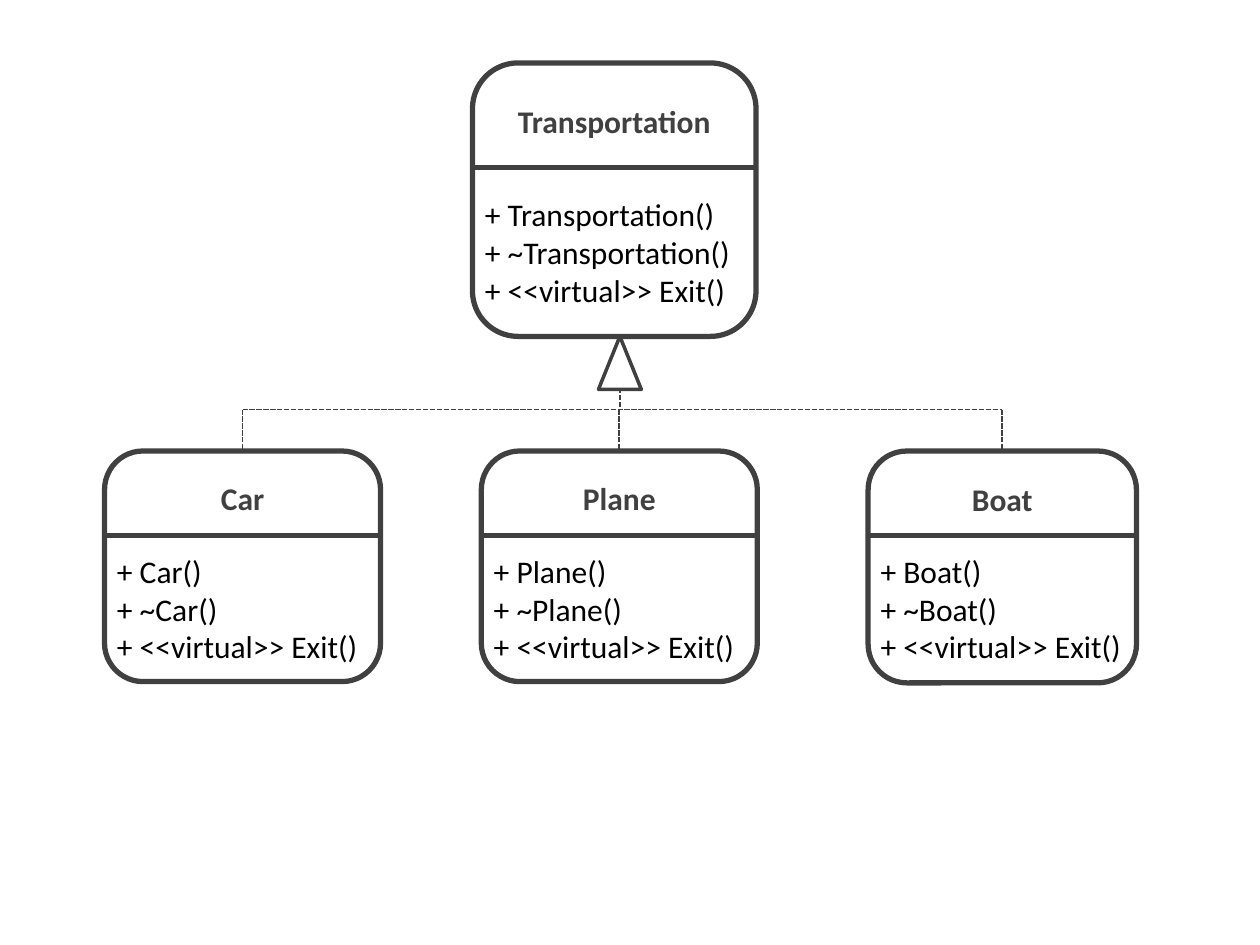
from dataclasses import dataclass

from pptx import Presentation
from pptx.dml.color import RGBColor
from pptx.enum.dml import MSO_LINE
from pptx.enum.shapes import MSO_CONNECTOR, MSO_SHAPE
from pptx.enum.text import MSO_AUTO_SIZE, PP_ALIGN
from pptx.oxml.ns import qn
from pptx.slide import Slide
from pptx.util import Inches, Pt
from lxml import etree

DARK = RGBColor(0x40, 0x40, 0x40)
BLACK = RGBColor(0x00, 0x00, 0x00)


@dataclass
class ClassDiagram:
    slide: Slide
    font: str = "Calibri"
    size: int = 18
    border: int = 3

    def outline(self, preset, left, top, width, height, weight):
        shape = self.slide.shapes.add_shape(
            preset, Inches(left), Inches(top), Inches(width), Inches(height))
        shape.shadow.inherit = False
        shape.fill.background()
        shape.line.color.rgb = DARK
        shape.line.width = Pt(weight)
        return shape

    def line(self, x1, y1, x2, y2, weight=1, dash=MSO_LINE.SQUARE_DOT):
        connector = self.slide.shapes.add_connector(
            MSO_CONNECTOR.STRAIGHT, Inches(x1), Inches(y1), Inches(x2), Inches(y2))
        connector.line.color.rgb = DARK
        connector.line.width = Pt(weight)
        connector.line.dash_style = dash
        etree.SubElement(connector._element.spPr, qn("a:effectLst"))
        return connector

    def text(self, lines, left, top, width, height, color, bold, align, wrap):
        box = self.slide.shapes.add_textbox(
            Inches(left), Inches(top), Inches(width), Inches(height))
        frame = box.text_frame
        frame.word_wrap = wrap
        frame.auto_size = MSO_AUTO_SIZE.SHAPE_TO_FIT_TEXT
        frame.text = "\n".join(lines)
        for paragraph in frame.paragraphs:
            paragraph.alignment = align
            for run in paragraph.runs:
                run.font.name = self.font
                run.font.size = Pt(self.size)
                run.font.bold = bold
                run.font.color.rgb = color

    def uml_class(self, name, left, top, width, height,
                  title_top, divider, methods_top, methods_width):
        frame = self.outline(MSO_SHAPE.ROUNDED_RECTANGLE,
                             left, top, width, height, self.border)
        self.text([name], left, title_top, width, 0.4,
                  DARK, True, PP_ALIGN.CENTER, True)
        methods = [f"+ {name}()", f"+ ~{name}()", "+ <<virtual>> Exit()"]
        self.text(methods, left, methods_top, methods_width, 1.01,
                  BLACK, False, PP_ALIGN.LEFT, False)
        self.line(left, divider, left + width, divider, self.border, MSO_LINE.SOLID)
        return frame


def main():
    prs = Presentation()
    prs.slide_width, prs.slide_height = Inches(10), Inches(7.5)
    diagram = ClassDiagram(prs.slides.add_slide(prs.slide_layouts[6]))

    # Base class
    diagram.uml_class("Transportation", 3.75, 0.5, 2.25, 2.17,
                      title_top=0.76, divider=1.33,
                      methods_top=1.5, methods_width=2.17)

    # Inheritance arrow and its stem
    bus_y, child_top, trunk_x = 3.25, 3.58, 4.92
    diagram.outline(MSO_SHAPE.ISOSCELES_TRIANGLE, 4.75, 2.67, 0.34, 0.42, 2)
    diagram.line(trunk_x, 3.08, trunk_x, bus_y)

    # Derived classes, each joined to the shared branch line
    children = [("Car", 0.83, 2.19, 1.83, 3.75),
                ("Plane", 3.82, 2.19, 1.83, 3.75),
                ("Boat", 6.89, 2.13, 1.84, 3.76)]
    centers = []
    for name, left, width, height, title_top in children:
        child = diagram.uml_class(name, left, child_top, width, height,
                                  title_top, divider=4.25,
                                  methods_top=4.33, methods_width=width)
        center = left + width / 2
        branch = diagram.line(center, bus_y, center, child_top)
        branch.end_connect(child, 0)
        centers.append(center)
    diagram.line(centers[0], bus_y, centers[-1], bus_y)

    prs.save("out.pptx")


if __name__ == "__main__":
    main()
